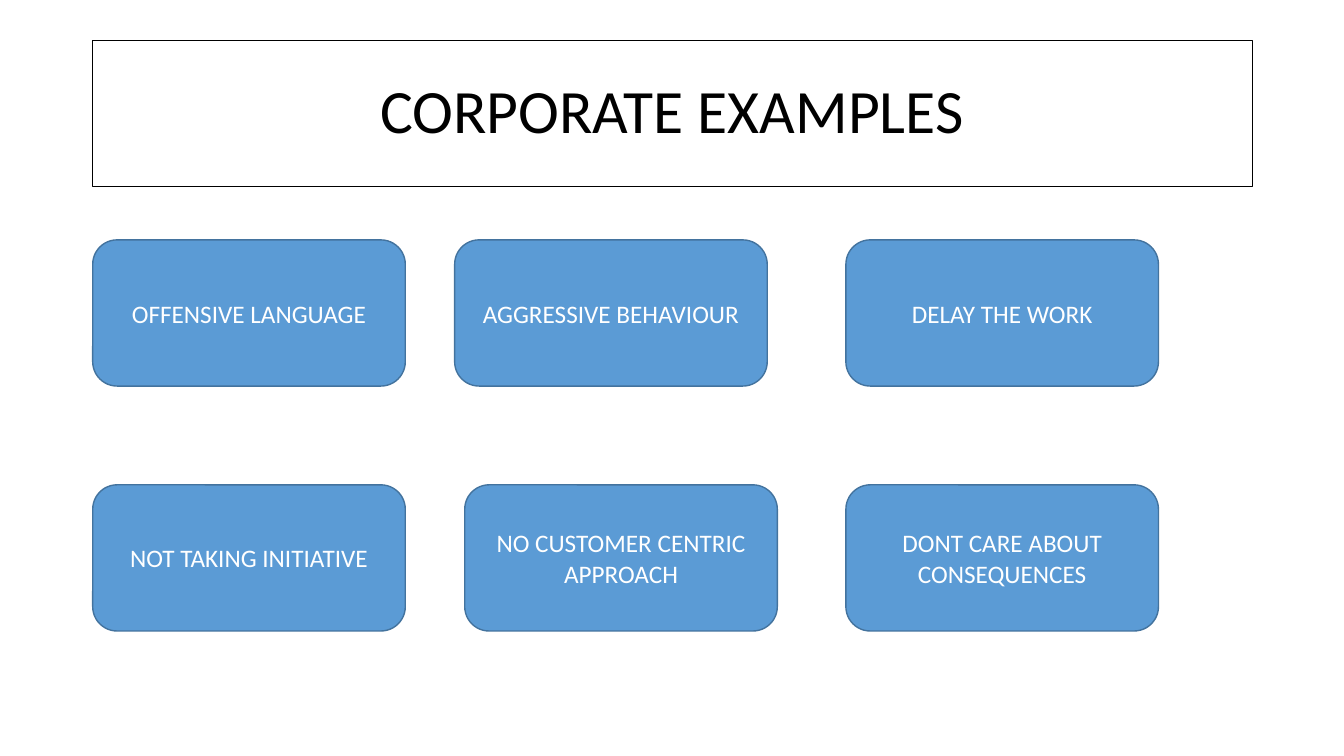
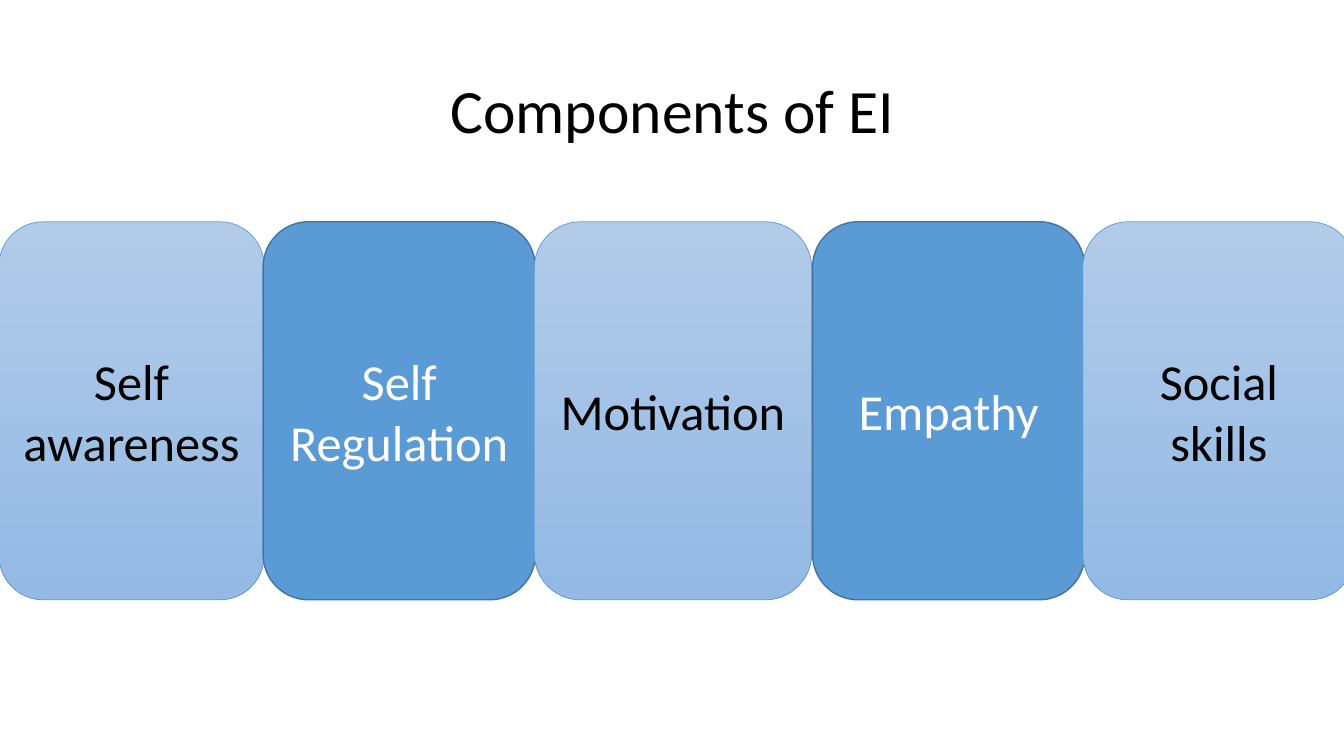
import pptx
import pptx.util
import pptx.dml.color
import pptx.enum.shapes
import pptx.enum.text

Inches = pptx.util.Inches
Pt = pptx.util.Pt
RGBColor = pptx.dml.color.RGBColor

BLACK = RGBColor(0x00, 0x00, 0x00)
WHITE = RGBColor(0xFF, 0xFF, 0xFF)
BLUE = RGBColor(0x5B, 0x9B, 0xD5)
DARK_BLUE = RGBColor(0x43, 0x73, 0x9E)
PALE_TOP = RGBColor(0xB1, 0xCB, 0xE9)
PALE_BOTTOM = RGBColor(0x93, 0xB9, 0xE4)


def set_text(sp, text, size, color, spacing=1.0):
    tf = sp.text_frame
    tf.text = text
    frame_format = {
        "word_wrap": True,
        "auto_size": pptx.enum.text.MSO_AUTO_SIZE.NONE,
        "vertical_anchor": pptx.enum.text.MSO_ANCHOR.MIDDLE,
    }
    for name, value in frame_format.items():
        setattr(tf, name, value)
    p = tf.paragraphs[0]
    p.alignment = pptx.enum.text.PP_ALIGN.CENTER
    p.line_spacing = spacing
    r = p.runs[0]
    for name, value in {"name": "Calibri", "size": Pt(size)}.items():
        setattr(r.font, name, value)
    r.font.color.rgb = color


def add_card(s, text, left, top, width, height, size, pale=False):
    sp = s.shapes.add_shape(
        pptx.enum.shapes.MSO_SHAPE.ROUNDED_RECTANGLE,
        Inches(left), Inches(top), Inches(width), Inches(height))
    sp.shadow.inherit = False
    if pale:
        sp.fill.gradient()
        sp.fill.gradient_angle = 270
        for stop, color, position in zip(
                sp.fill.gradient_stops, (PALE_TOP, PALE_BOTTOM), (0, 1)):
            stop.color.rgb = color
            stop.position = position
    else:
        sp.fill.solid()
        sp.fill.fore_color.rgb = BLUE
    sp.line.color.rgb = BLUE if pale else DARK_BLUE
    sp.line.width = Pt(0.5 if pale else 1)
    set_text(sp, text, size, BLACK if pale else WHITE)


prs = pptx.Presentation()
prs.slide_width = Inches(13.33)
prs.slide_height = Inches(7.5)

slides = []
for heading in ("CORPORATE EXAMPLES", "Components of EI"):
    s = prs.slides.add_slide(prs.slide_layouts[5])
    title = s.shapes.title
    title_box = {"left": 0.92, "top": 0.4, "width": 11.5, "height": 1.45}
    for name, value in title_box.items():
        setattr(title, name, Inches(value))
    set_text(title, heading, 44, BLACK, 0.9)
    slides.append(s)
examples, components = slides

title = examples.shapes.title
title.fill.solid()
title.fill.fore_color.rgb = WHITE
title.line.color.rgb = BLACK
title.line.width = Pt(1)

example_rows = [
    (2.38, [("OFFENSIVE LANGUAGE", 0.92),
            ("AGGRESSIVE BEHAVIOUR", 4.51),
            ("DELAY THE WORK", 8.39)]),
    (4.81, [("NOT TAKING INITIATIVE", 0.92),
            ("NO CUSTOMER CENTRIC APPROACH", 4.61),
            ("DONT CARE ABOUT CONSEQUENCES", 8.39)]),
]
for top, cards in example_rows:
    for text, left in cards:
        add_card(examples, text, left, top, 3.1, 1.45, 18)

component_cards = [
    ("Self awareness", -0.01, 2.63),
    ("Self Regulation", 2.61, 2.7),
    ("Motivation", 5.3, 2.75),
    ("Empathy", 8.06, 2.7),
    ("Social skills", 10.74, 2.7),
]
for i, (text, left, width) in enumerate(component_cards):
    add_card(components, text, left, 2.2, width, 3.75, 36, pale=i % 2 == 0)

prs.save("out.pptx")
